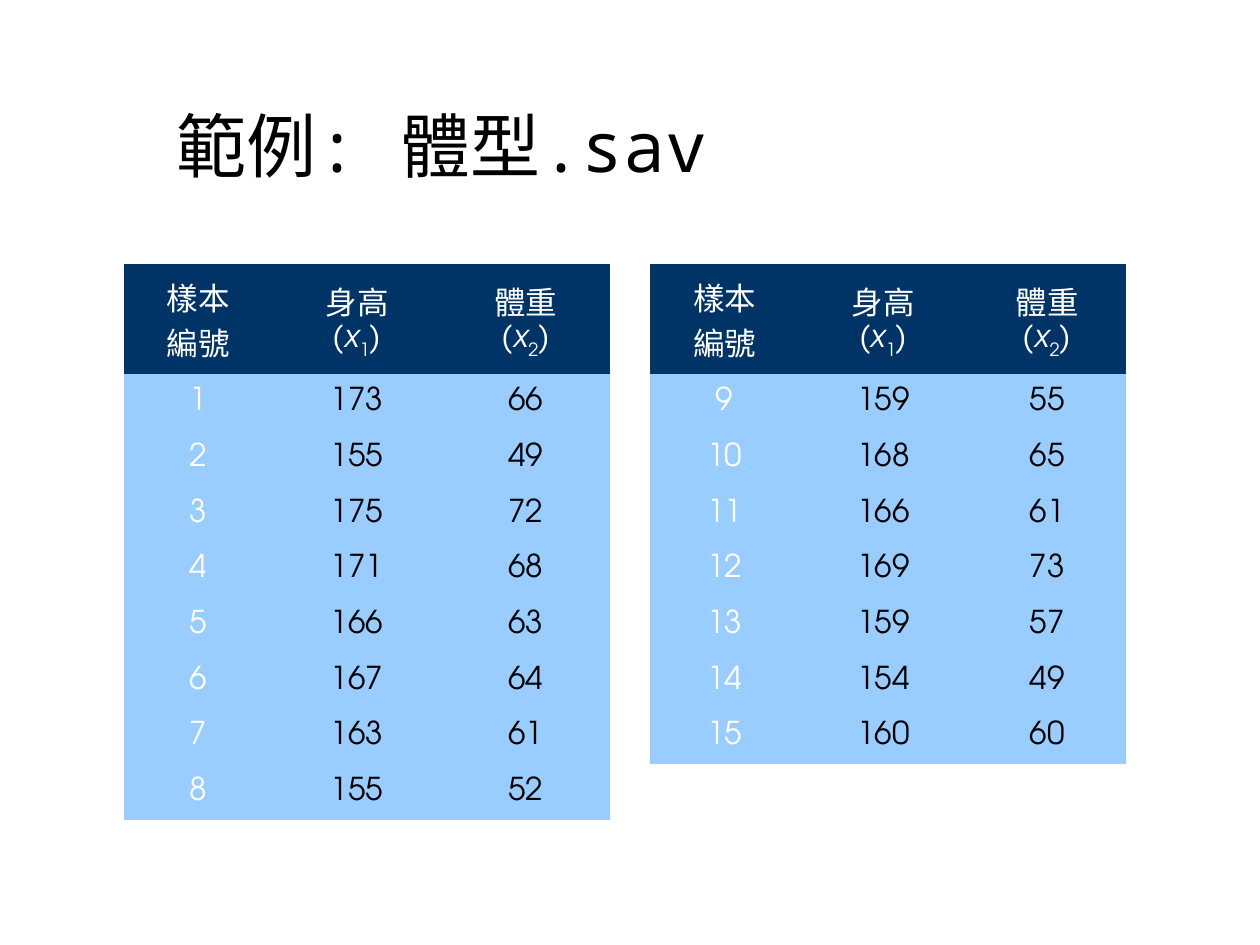
from pptx import Presentation
from pptx.dml.color import RGBColor
from pptx.enum import text
from pptx.oxml import ns
from pptx.util import Pt

NAVY = RGBColor(0x00, 0x33, 0x66)
SKY = RGBColor(0x99, 0xCC, 0xFF)
WHITE = RGBColor(0xFF, 0xFF, 0xFF)
BLACK = RGBColor(0x00, 0x00, 0x00)
TITLE_FONT = "Noto Sans Mono"
TABLE_FONT = "TeX Gyre Adventor"
NO_STYLE_NO_GRID = "{2D5ABB26-0587-4C30-8999-92F81FD0307C}"

HEADER_HEIGHT, ROW_HEIGHT = 62.8, 31.86
VARIABLES = [("身高", "1"), ("體重", "2")]
SAMPLES = [
    (173, 66), (155, 49), (175, 72), (171, 68), (166, 63),
    (167, 64), (163, 61), (155, 52), (159, 55), (168, 65),
    (166, 61), (169, 73), (159, 57), (154, 49), (160, 60),
]


def add_title(s, left, top, width, height):
    sp = s.shapes.title
    sp.left, sp.top, sp.width, sp.height = map(Pt, (left, top, width, height))
    tf = sp.text_frame
    tf.text = "範例: 體型.sav"
    tf.auto_size = text.MSO_AUTO_SIZE.NONE
    tf.vertical_anchor = text.MSO_ANCHOR.MIDDLE
    p = tf.paragraphs[0]
    p.alignment = text.PP_ALIGN.LEFT
    font = p.runs[0].font
    font.size, font.name = Pt(40), TITLE_FONT
    font.color.rgb = BLACK


def format_cell(cell, fill, color):
    cell.fill.solid()
    cell.fill.fore_color.rgb = fill
    cell.vertical_anchor = text.MSO_ANCHOR.MIDDLE
    for p in cell.text_frame.paragraphs:
        p.alignment = text.PP_ALIGN.CENTER
        for r in p.runs:
            r.font.size, r.font.name = Pt(18), TABLE_FONT
            r.font.color.rgb = color


def add_symbol(p, index):
    """Write (x) with an italic x and a subscript index."""
    for part in ("(", "x", index, ")"):
        r = p.add_run()
        r.text = part
        if part == "x":
            r.font.italic = True
        elif part == index:
            r._r.get_or_add_rPr().set("baseline", "-30000")


def add_sample_table(s, left, top, col_widths, first, samples):
    height = HEADER_HEIGHT + ROW_HEIGHT * len(samples)
    frame = s.shapes.add_table(len(samples) + 1, len(col_widths), Pt(left),
                               Pt(top), Pt(sum(col_widths)), Pt(height))
    table = frame.table
    table.first_row = table.horz_banding = False
    table._tbl.tblPr.find(ns.qn("a:tableStyleId")).text = NO_STYLE_NO_GRID
    for col, width in zip(table.columns, col_widths):
        col.width = Pt(width)

    # Header row
    table.rows[0].height = Pt(HEADER_HEIGHT)
    table.cell(0, 0).text = "樣本\n編號"
    for c, (name, index) in enumerate(VARIABLES, 1):
        tf = table.cell(0, c).text_frame
        tf.text = name
        add_symbol(tf.add_paragraph(), index)
    for cell in table.rows[0].cells:
        format_cell(cell, NAVY, WHITE)

    # Sample rows
    for i, sample in enumerate(samples):
        row = table.rows[i + 1]
        row.height = Pt(ROW_HEIGHT)
        for c, value in enumerate((first + i, *sample)):
            cell = row.cells[c]
            cell.text = str(value)
            format_cell(cell, SKY, BLACK if c else WHITE)


def main():
    prs = Presentation()
    prs.slide_width, prs.slide_height = Pt(720), Pt(540)
    s = prs.slides.add_slide(prs.slide_layouts[5])
    add_title(s, 93.6, 37.4, 589.7, 90)
    add_sample_table(s, 371.5, 151, (85, 96.5, 90.7), 9, SAMPLES[8:])
    add_sample_table(s, 70.8, 151, (85, 96.5, 96.5), 1, SAMPLES[:8])
    prs.save("out.pptx")


if __name__ == "__main__":
    main()
